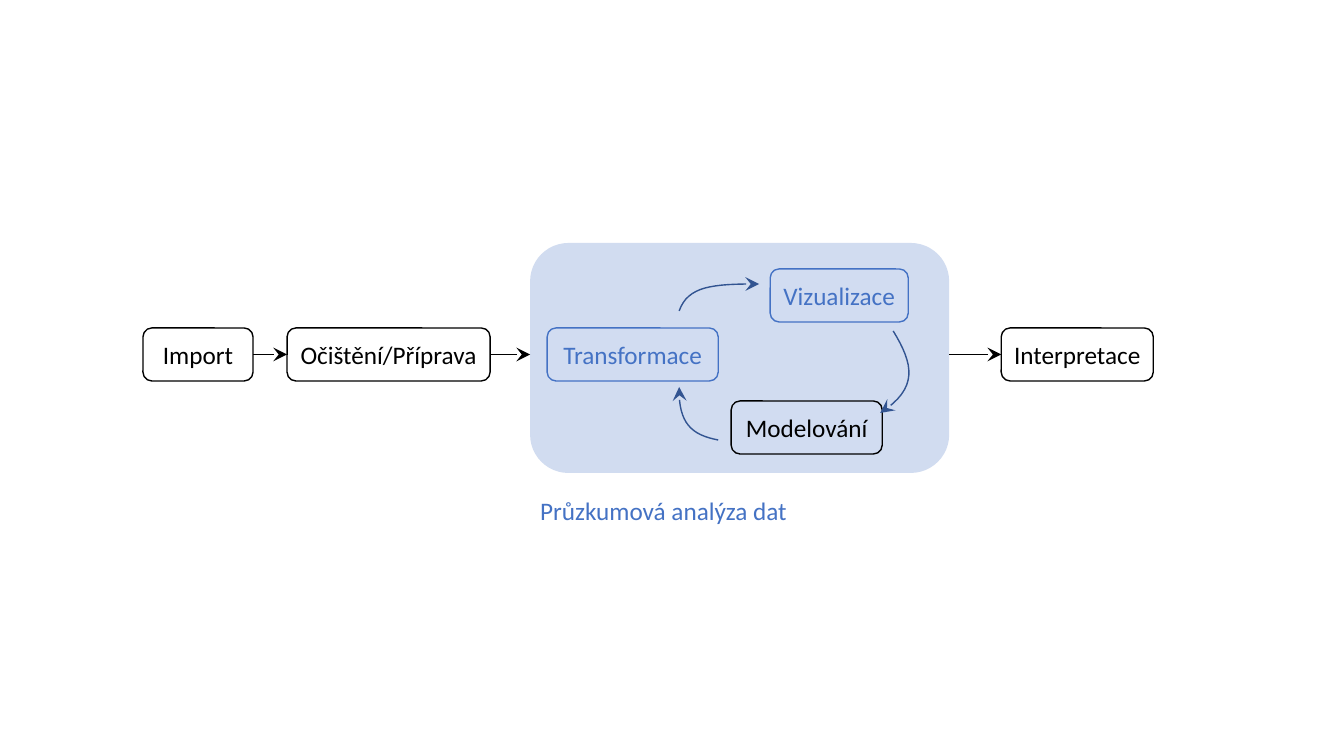
from lxml import etree
from pptx import Presentation
from pptx import util as u
from pptx.dml.color import RGBColor
from pptx.enum import shapes, text
from pptx.oxml.ns import qn

PX = 914400 / 100.8
BLACK = RGBColor(0x00, 0x00, 0x00)
WHITE = RGBColor(0xFF, 0xFF, 0xFF)
BLUE = RGBColor(0x44, 0x72, 0xC4)
DARK_BLUE = RGBColor(0x32, 0x54, 0x91)
PANEL_BLUE = RGBColor(0xB9, 0xCA, 0xE9)
PALE_BLUE = RGBColor(0xD1, 0xDC, 0xF1)
STEP_HEIGHT = 53
CURVE_PIECES = 16


def emu(pixels):
    return u.Emu(round(pixels * PX))


def write(shape, words, color=BLACK, align=text.PP_ALIGN.CENTER,
          anchor=text.MSO_ANCHOR.MIDDLE, margin=0):
    frame = shape.text_frame
    frame.word_wrap = False
    frame.vertical_anchor = anchor
    frame.margin_left = frame.margin_right = emu(margin)
    frame.margin_top = frame.margin_bottom = emu(margin / 2)
    paragraph = frame.paragraphs[0]
    paragraph.alignment = align
    run = paragraph.add_run()
    run.text = words
    run.font.name, run.font.size = "Calibri", u.Pt(18)
    run.font.color.rgb = color


def rounded(slide, left, top, width, height, fill):
    shape = slide.shapes.add_shape(shapes.MSO_SHAPE.ROUNDED_RECTANGLE,
                                   *map(emu, (left, top, width, height)))
    shape.shadow.inherit = False
    shape.fill.solid()
    shape.fill.fore_color.rgb = fill
    return shape


def step(slide, words, left, top, width, color=BLACK, fill=WHITE):
    box = rounded(slide, left, top, width, STEP_HEIGHT, fill)
    box.line.color.rgb, box.line.width = color, u.Pt(1)
    write(box, words, color=color)


def style_arrow(arrow, color, width):
    arrow.line.color.rgb, arrow.line.width = color, u.Pt(width)
    line = arrow.line._get_or_add_ln()
    etree.SubElement(line, qn("a:tailEnd"), type="stealth", w="lg", len="lg")


def straight_arrow(slide, start, end, y):
    arrow = slide.shapes.add_connector(shapes.MSO_CONNECTOR.STRAIGHT,
                                       *map(emu, (start, y, end, y)))
    style_arrow(arrow, BLACK, 0.5)
    etree.SubElement(arrow._element.spPr, qn("a:effectLst"))


def curved_arrow(slide, left, top, controls):
    """Draw a cubic curve through short, equal parameter steps."""
    points = []
    for i in range(CURVE_PIECES + 1):
        t = i / CURVE_PIECES
        weights = ((1 - t) ** 3, 3 * t * (1 - t) ** 2, 3 * t * t * (1 - t), t ** 3)
        x, y = (sum(w * c[axis] for w, c in zip(weights, controls)) for axis in (0, 1))
        points.append((emu(left + x), emu(top + y)))
    builder = slide.shapes.build_freeform(*points[0])
    builder.add_line_segments(points[1:], close=False)
    arrow = builder.convert_to_shape()
    arrow.shadow.inherit = False
    arrow.fill.background()
    style_arrow(arrow, DARK_BLUE, 1)


def exploration(slide, left, top, width, height):
    panel = rounded(slide, left, top, width, height, PANEL_BLUE)
    panel.line.fill.background()
    tint = panel._element.spPr.find(qn("a:solidFill"))[0]
    etree.SubElement(tint, qn("a:alpha"), val="65000")

    # Steps of the cycle
    for words, x, y, step_width, color in (
            ("Transformace", 17, 85, 171, BLUE),
            ("Vizualizace", 240, 26, 138, BLUE),
            ("Modelování", 201, 158, 151, BLACK)):
        step(slide, words, left + x, top + y, step_width, color, PALE_BLUE)

    # Arrows between the steps
    for controls in (
            ((149, 68), (158, 43), (182, 41), (229, 41)),
            ((363, 88), (383, 121), (389, 145), (350, 170)),
            ((188, 197), (162, 192), (148, 181), (149, 144))):
        curved_arrow(slide, left, top, controls)

    # Caption below the panel
    caption = slide.shapes.add_textbox(emu(left), emu(top + height + 17),
                                       emu(269), emu(40))
    write(caption, "Průzkumová analýza dat", color=BLUE, margin=10,
          align=text.PP_ALIGN.LEFT, anchor=text.MSO_ANCHOR.TOP)


def workflow(slide, left, top):
    middle = top + STEP_HEIGHT / 2
    exploration(slide, left + 387, top - 85, 419, 230)
    for words, x, width in (("Import", 0, 110),
                            ("Očištění/Příprava", 144, 203),
                            ("Interpretace", 858, 152)):
        step(slide, words, left + x, top, width)
    for start, end in ((110, 144), (347, 387), (806, 858)):
        straight_arrow(slide, left + start, left + end, middle)


deck = Presentation()
deck.slide_width, deck.slide_height = u.Inches(13.33), u.Inches(7.5)
page = deck.slides.add_slide(deck.slide_layouts[6])
workflow(page, 143, 328)
deck.save("out.pptx")
